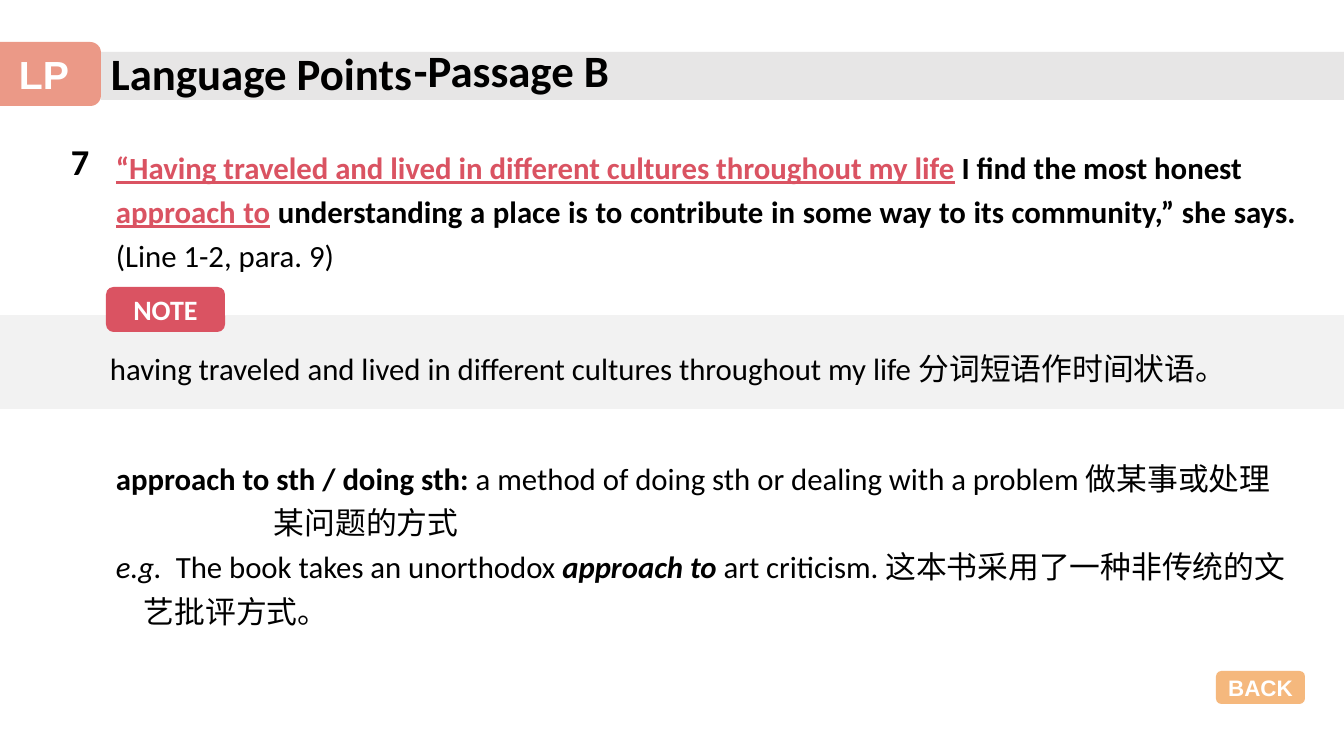
"""Build the Language Points slide for Passage B, item 7."""
from lxml.etree import SubElement
from pptx import Presentation
from pptx.dml.color import RGBColor
from pptx.enum.shapes import MSO_SHAPE as Shape
from pptx.enum.text import MSO_ANCHOR as Anchor, PP_ALIGN as Align
from pptx.oxml.ns import qn
from pptx.util import Pt

SCALE = 914400 / 100.8
BLACK = RGBColor(0x00, 0x00, 0x00)
WHITE = RGBColor(0xFF, 0xFF, 0xFF)
RED = RGBColor(0xDA, 0x53, 0x62)
CORAL = RGBColor(0xE4, 0x70, 0x57)
ORANGE = RGBColor(0xF1, 0x9B, 0x48)
TITLE_GREY = RGBColor(0xE7, 0xE6, 0xE6)
NOTE_GREY = RGBColor(0xF2, 0xF2, 0xF2)
LATIN, CHINESE = "Calibri", "Noto Sans CJK SC"

BOLD = {"bold": True}
ITALIC = {"italic": True}
KEY = {"bold": True, "underline": True, "color": RED}
HAN = {"name": CHINESE}


def px(length):
    return round(length * SCALE)


def add_run(paragraph, text, size, values):
    run = paragraph.add_run()
    run.text = text
    values = {"name": LATIN, "color": BLACK, "size": Pt(size), **values}
    run.font.color.rgb = values.pop("color")
    for name, value in values.items():
        setattr(run.font, name, value)
    if values["name"] == CHINESE:
        SubElement(run.font._element, qn("a:ea"), typeface=CHINESE)


presentation = Presentation()
presentation.slide_width, presentation.slide_height = px(1344), px(756)
slide = presentation.slides.add_slide(presentation.slide_layouts[6])

blocks = [
    (Shape.RECTANGLE, (101, 52, 1243, 48), TITLE_GREY, 100, "", 0, LATIN),
    (Shape.ROUNDED_RECTANGLE, (-13, 42, 114, 64), CORAL, 71, "LP", 28, "Arial"),
    (Shape.RECTANGLE, (0, 315, 1344, 94), NOTE_GREY, 100, "", 0, LATIN),
    (Shape.ROUNDED_RECTANGLE, (106, 287, 119, 45), RED, 100, "NOTE", 20, LATIN),
    (Shape.ROUNDED_RECTANGLE, (1216, 671, 89, 33), ORANGE, 71, "BACK", 16, "Arial"),
]
for kind, box, fill, opacity, label, size, font_name in blocks:
    shape = slide.shapes.add_shape(kind, *map(px, box))
    shape.shadow.inherit = False
    shape.line.fill.background()
    shape.fill.solid()
    shape.fill.fore_color.rgb = fill
    if opacity < 100:
        color = shape._element.spPr.find(".//" + qn("a:srgbClr"))
        SubElement(color, qn("a:alpha"), val=str(opacity * 1000))
    if label:
        shape.text_frame.word_wrap = False
        shape.text_frame.vertical_anchor = Anchor.MIDDLE
        paragraph = shape.text_frame.paragraphs[0]
        paragraph.alignment = Align.CENTER
        add_run(paragraph, label, size, {"name": font_name, "bold": True, "color": WHITE})

quote = [
    (0, [("“Having traveled and lived in different cultures throughout my life", KEY),
         (" I find the most honest", BOLD)]),
    (0, [("approach to", KEY),
         (" understanding a place is to contribute in some way to its community,” she says. ", BOLD),
         ("(Line 1-2, para. 9)", {})]),
]
note = [
    (0, [("having traveled and lived in different cultures throughout my life ", {}),
         ("分词短语作时间状语。", HAN)]),
]
definition = [
    (158, [("approach to sth / doing sth: ", BOLD),
           ("a method of doing sth or dealing with a problem ", {}),
           ("做某事或处理某问题的方式", HAN)]),
    (28, [("e.g.  ", ITALIC),
          ("The book takes an unorthodox ", {}),
          ("approach to ", {**BOLD, **ITALIC}),
          ("art criticism. ", {}),
          ("这本书采用了一种非传统的文艺批评方式。", HAN)]),
]
texts = [
    ((101, 41, 489, 64), 32, 1, Align.LEFT, [(0, [("Language Points", BOLD)])]),
    ((404, 38, 255, 64), 32, 1, Align.LEFT, [(0, [("-Passage B", BOLD)])]),
    ((61, 134, 64, 54), 26, 1, Align.LEFT, [(0, [("7", BOLD)])]),
    ((106, 136, 1200, 143), 22, 1.2, Align.JUSTIFY, quote),
    ((100, 337, 1186, 51), 22, 1.2, Align.LEFT, note),
    ((106, 447, 1200, 187), 22, 1.2, Align.LEFT, definition),
]
for box, size, spacing, alignment, paragraphs in texts:
    frame = slide.shapes.add_textbox(*map(px, box)).text_frame
    frame.word_wrap = True
    for index, (hanging, runs) in enumerate(paragraphs):
        paragraph = frame.add_paragraph() if index else frame.paragraphs[0]
        paragraph.alignment = alignment
        paragraph.line_spacing = spacing
        if hanging:
            properties = paragraph._p.get_or_add_pPr()
            properties.set("marL", str(px(hanging)))
            properties.set("indent", str(-px(hanging)))
        for text, values in runs:
            add_run(paragraph, text, size, values)

presentation.save("out.pptx")
